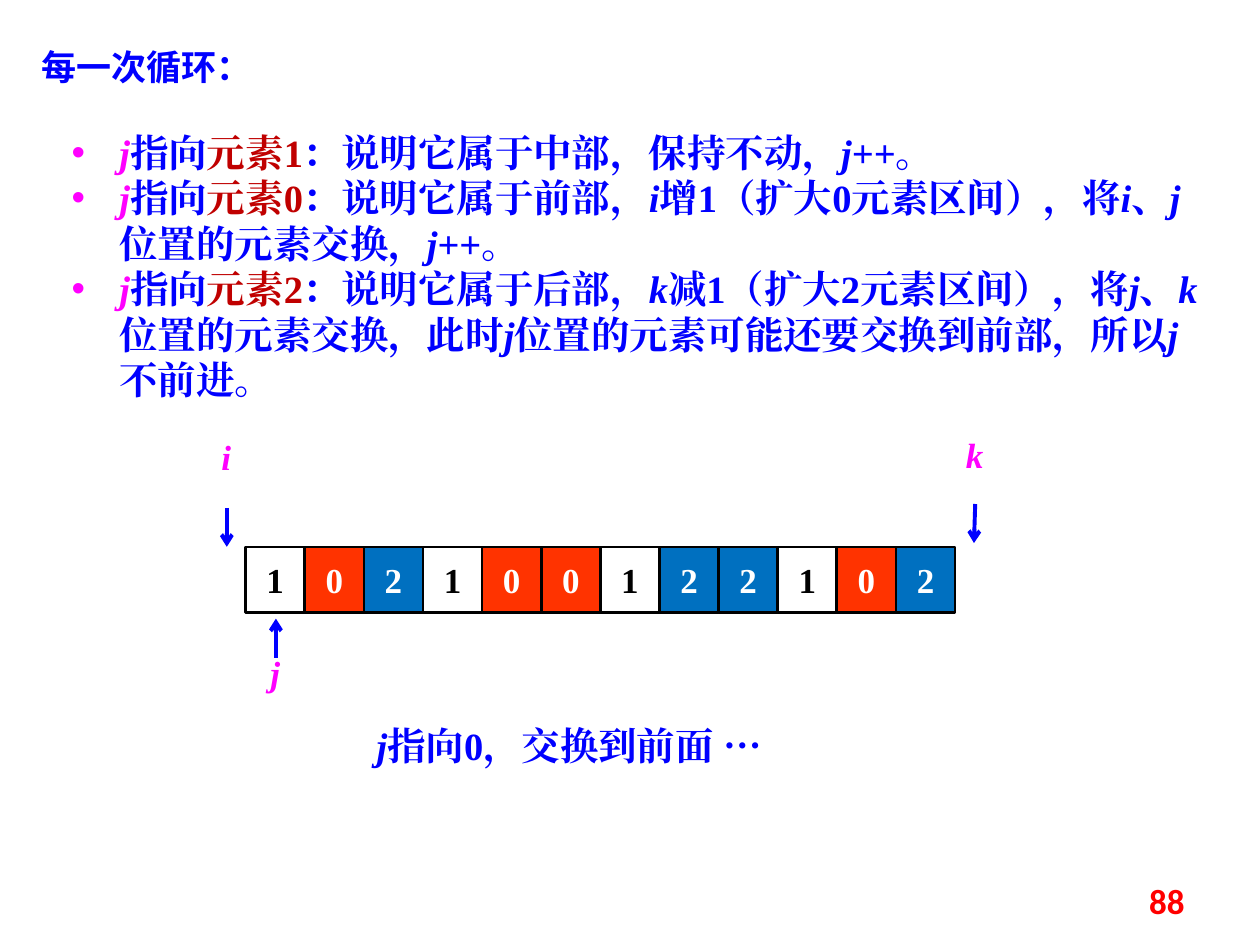
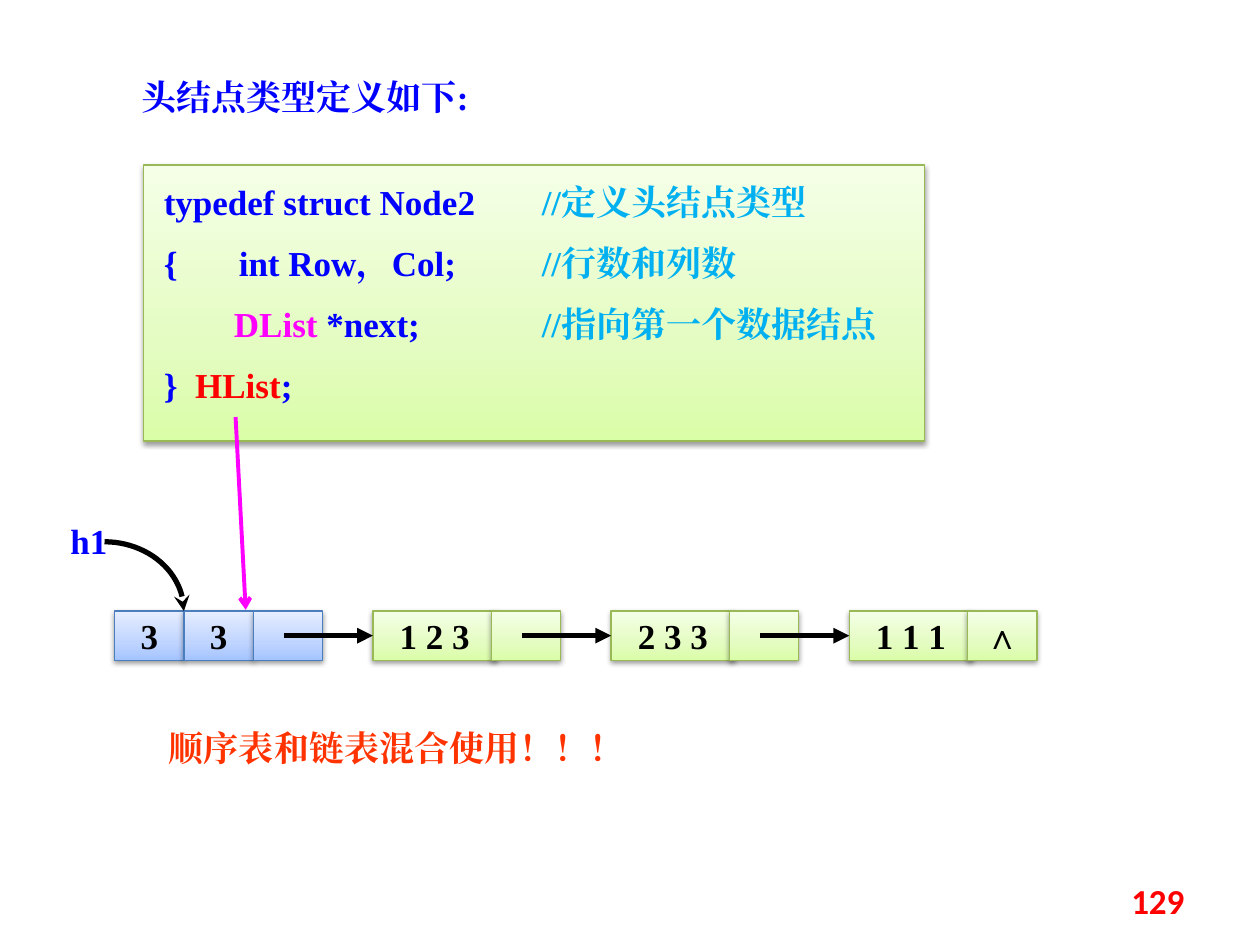
import math
from typing import NamedTuple, Optional

from lxml import etree
from pptx import Presentation
from pptx.dml.color import RGBColor
from pptx.enum import shapes, text
from pptx.oxml.ns import qn
from pptx.util import Inches, Pt

# Shared colours and fonts
BLACK = RGBColor(0x00, 0x00, 0x00)
WHITE = RGBColor(0xFF, 0xFF, 0xFF)
BLUE = RGBColor(0x00, 0x00, 0xFF)
MAGENTA = RGBColor(0xFF, 0x00, 0xFF)
RED = RGBColor(0xFF, 0x00, 0x00)
DARK_RED = RGBColor(0xC0, 0x00, 0x00)
ORANGE = RGBColor(0xFF, 0x33, 0x00)
CELL_BLUE = RGBColor(0x00, 0x70, 0xC0)
SKY = RGBColor(0x00, 0xB0, 0xF0)
SERIF = "Times New Roman"
SANS = "Noto Sans CJK SC"
NUMBER_FONT = "Calibri"

LEFT, CENTER, RIGHT = (text.PP_ALIGN.LEFT, text.PP_ALIGN.CENTER,
                       text.PP_ALIGN.RIGHT)
TOP, MIDDLE = text.MSO_ANCHOR.TOP, text.MSO_ANCHOR.MIDDLE


class Run(NamedTuple):
    text: str
    color: RGBColor = BLUE
    italic: bool = False
    font: str = SERIF


class Box(NamedTuple):
    left: float
    top: float
    width: float
    height: float

    def emu(self) -> list:
        return [Inches(v) for v in self]


class Gradient(NamedTuple):
    stops: tuple  # (position in percent, colour)
    edge: RGBColor


class Pointer(NamedTuple):
    name: str
    label: Box
    start: tuple
    end: tuple


GREEN_NODE = Gradient(((0, "DAFDA7"), (35, "E4FCC2"), (100, "F5FFE7")),
                      RGBColor(0x98, 0xB9, 0x55))
BLUE_NODE = Gradient(((0, "A4C4FF"), (35, "BFD4FF"), (100, "E6EEFF")),
                     RGBColor(0x4B, 0x7E, 0xBC))


def add_xml(parent, tag: str, **attrs: str):
    return etree.SubElement(parent, qn(tag), attrs)


# Text
def write(p, runs: list, size: int = 20, align=LEFT, bold: bool = True) -> None:
    p.alignment = align
    for item in runs:
        r = p.add_run()
        r.text = item.text
        r.font.size, r.font.bold, r.font.italic = Pt(size), bold, item.italic
        r.font.name = item.font
        r.font.color.rgb = item.color
        add_xml(r.font._element, "a:ea", typeface=item.font)


def with_variables(marked: str) -> list:
    """Blue runs; the parts between asterisks are italic."""
    return [Run(part, italic=n % 2 == 1)
            for n, part in enumerate(marked.split("*")) if part]


def add_text(slide, box: Box, runs: list, size: int = 20, align=LEFT,
             anchor=TOP, inset: Optional[float] = None, bold: bool = True):
    sp = slide.shapes.add_textbox(*box.emu())
    tf = sp.text_frame
    tf.word_wrap = True
    tf.vertical_anchor = anchor
    if inset is not None:
        set_insets(tf, inset, inset)
    if runs:
        write(tf.paragraphs[0], runs, size, align, bold)
    return sp


def set_insets(tf, side: float, end: float) -> None:
    tf.margin_left = tf.margin_right = Inches(side)
    tf.margin_top = tf.margin_bottom = Inches(end)


def add_slide(prs, title: Run, box: Box, number: int):
    slide = prs.slides.add_slide(prs.slide_layouts[5])
    sp = slide.shapes.title
    sp.left, sp.top, sp.width, sp.height = box.emu()
    tf = sp.text_frame
    tf.word_wrap, tf.auto_size = True, text.MSO_AUTO_SIZE.NONE
    tf.vertical_anchor = TOP
    write(tf.paragraphs[0], [title])
    add_text(slide, Box(7.17, 6.95, 2.33, 0.4),
             [Run(str(number), RED, font=NUMBER_FONT)], align=RIGHT, anchor=MIDDLE)
    return slide


# Shapes and lines
def add_rect(slide, box: Box, edge: RGBColor, width: float, label: str = "",
             color: RGBColor = BLACK):
    sp = slide.shapes.add_shape(shapes.MSO_SHAPE.RECTANGLE, *box.emu())
    sp.shadow.inherit = False
    sp.line.color.rgb, sp.line.width = edge, Pt(width)
    tf = sp.text_frame
    tf.word_wrap = False
    tf.vertical_anchor = MIDDLE
    if label:
        write(tf.paragraphs[0], [Run(label, color)], align=CENTER)
    return sp


def add_node(slide, box: Box, look: Gradient, label: str = ""):
    sp = add_rect(slide, box, look.edge, 0.75, label)
    sp.fill.gradient()
    sp.fill.gradient_angle = 90
    spPr = sp._element.spPr
    stops = spPr.find(qn("a:gradFill")).find(qn("a:gsLst"))
    for old in list(stops):
        stops.remove(old)
    for pos, color in look.stops:
        add_xml(add_xml(stops, "a:gs", pos=str(pos * 1000)), "a:srgbClr", val=color)
    shadow = add_xml(spPr.find(qn("a:effectLst")), "a:outerShdw",
                     blurRad=str(Pt(3.1)), dist=str(Pt(1.6)), dir="5400000",
                     rotWithShape="0")
    add_xml(add_xml(shadow, "a:srgbClr", val="000000"), "a:alpha", val="38000")
    return sp


def style_arrow(sp, color: RGBColor, width: float, tip: str) -> None:
    sp.line.color.rgb, sp.line.width = color, Pt(width)
    add_xml(sp._element.spPr.find(qn("a:ln")), "a:tailEnd", type=tip)


def add_arrow(slide, start: tuple, end: tuple, color: RGBColor,
              width: float = 2.25, tip: str = "arrow"):
    c = slide.shapes.add_connector(shapes.MSO_CONNECTOR.STRAIGHT,
                                   *[Inches(v) for v in (*start, *end)])
    style_arrow(c, color, width, tip)
    add_xml(c._element.spPr, "a:effectLst")
    return c


# Slide 1: three-way partition of an array
def add_rules(slide) -> None:
    rules = [
        ("1", "中", "保持不动，*j++*。"),
        ("0", "前", "*i*增1（扩大0元素区间），将*i*、*j*位置的元素交换，*j*++。"),
        ("2", "后", "*k*减1（扩大2元素区间），将*j*、*k*位置的元素交换，"
                   "此时*j*位置的元素可能还要交换到前部，所以*j*不前进。"),
    ]
    tf = add_text(slide, Box(0.47, 0.98, 9.14, 2.29), []).text_frame
    for n, (element, part, action) in enumerate(rules):
        p = tf.add_paragraph() if n else tf.paragraphs[0]
        pPr = p._p.get_or_add_pPr()
        pPr.set("marL", str(Inches(0.38)))
        pPr.set("indent", str(Inches(-0.38)))
        add_xml(pPr, "a:buFont", typeface="Arial")
        add_xml(pPr, "a:buChar", char="•")
        p.line_spacing = Pt(26)
        write(p, [Run("j", MAGENTA, True), Run("指向"),
                  Run("元素" + element, DARK_RED),
                  *with_variables(f"：说明它属于{part}部，{action}")], size=22)


def partition_slide(prs) -> None:
    slide = add_slide(prs, Run("每一次循环：", font=SANS),
                      Box(0.23, 0.31, 2.19, 0.49), 88)
    add_rules(slide)

    # Array cells
    looks = {"0": (ORANGE, WHITE), "1": (WHITE, BLACK), "2": (CELL_BLUE, WHITE)}
    pitch = 5.63 / 12
    for n, digit in enumerate("102100122102"):
        fill, color = looks[digit]
        sp = add_rect(slide, Box(1.95 + n * pitch, 4.34, pitch, 0.52),
                      BLACK, 1.5, digit, color)
        sp.fill.solid()
        sp.fill.fore_color.rgb = fill

    # Index pointers
    for ptr in (
        Pointer("i", Box(1.64, 3.46, 0.31, 0.37), (1.8, 4.03), (1.8, 4.34)),
        Pointer("k", Box(7.58, 3.44, 0.31, 0.37), (7.74, 4), (7.73, 4.31)),
        Pointer("j", Box(2.03, 5.17, 0.31, 0.37), (2.19, 5.22), (2.19, 4.91)),
    ):
        add_arrow(slide, ptr.start, ptr.end, BLUE)
        add_text(slide, ptr.label, [Run(ptr.name, MAGENTA, True)],
                 align=CENTER, inset=0)

    add_text(slide, Box(2.89, 5.68, 3.83, 0.51),
             [*with_variables("*j*指向0，交换到前面 "), Run("…", font=SANS)], size=22)


# Slide 2: list with a head node
def add_code(slide) -> None:
    lines = [
        [Run("typedef struct Node2\t"), Run("//定义头结点类型", SKY)],
        [Run("{       int Row，Col;\t"), Run("//行数和列数", SKY)],
        [Run("        "), Run("DList ", MAGENTA), Run("*next;\t"),
         Run("//指向第一个数据结点", SKY)],
        [Run("}  "), Run("HList", RED), Run(";")],
    ]
    tf = add_node(slide, Box(1.14, 1.31, 6.2, 2.19), GREEN_NODE).text_frame
    tf.word_wrap = True
    tf.vertical_anchor = TOP
    set_insets(tf, 0.16, 0.12)
    for n, runs in enumerate(lines):
        p = tf.add_paragraph() if n else tf.paragraphs[0]
        tabs = add_xml(p._p.get_or_add_pPr(), "a:tabLst")
        add_xml(tabs, "a:tab", pos=str(Inches(3)), algn="l")
        if n:
            p.space_before = Pt(11)
        write(p, runs)


def add_head_curve(slide) -> None:
    left, top, width, height = 0.83, 4.3, 0.63, 0.55
    steps = 24
    angles = [math.pi / 2 * n / steps for n in range(steps + 1)]
    points = [(Inches(left + width * math.sin(a)),
               Inches(top + height * (1 - math.cos(a)))) for a in angles]
    builder = slide.shapes.build_freeform(*points[0])
    builder.add_line_segments(points[1:], close=False)
    sp = builder.convert_to_shape()
    sp.shadow.inherit = False
    sp.fill.background()
    style_arrow(sp, BLACK, 3, "stealth")


def linked_list_slide(prs) -> None:
    slide = add_slide(prs, Run("头结点类型定义如下:"), Box(1.02, 0.55, 4.88, 0.5), 129)
    add_code(slide)

    # Head node: rows, columns, link
    top, height, link_width = 4.85, 0.39, 0.55
    for n, label in enumerate(("3", "3", "")):
        add_node(slide, Box(0.91 + n * link_width, top, link_width, height),
                 BLUE_NODE, label)
    add_head_curve(slide)
    add_text(slide, Box(0.35, 4.07, 0.71, 0.5), [Run("h1")], align=CENTER)

    # Data nodes, each reached by an arrow from the link before it
    for n, (data, link) in enumerate((("1 2 3", ""), ("2 3 3", ""), ("1 1 1", "∧"))):
        left = 2.96 + n * 1.89
        node = add_node(slide, Box(left, top, 0.98, height), GREEN_NODE, data)
        add_node(slide, Box(left + 0.94, top, link_width, height), GREEN_NODE, link)
        middle = top + height / 2
        arrow = add_arrow(slide, (left - 0.71, middle), (left, middle),
                          BLACK, 3, "triangle")
        arrow.end_connect(node, 1)

    add_arrow(slide, (1.87, 3.31), (1.95, 4.84), MAGENTA)
    add_text(slide, Box(0.75, 5.72, 4.8, 0.5),
             [Run("顺序表和链表混合使用！！！", ORANGE)], align=CENTER)


def main() -> None:
    prs = Presentation()
    prs.slide_width, prs.slide_height = Inches(10), Inches(7.5)
    partition_slide(prs)
    linked_list_slide(prs)
    prs.save("out.pptx")


if __name__ == "__main__":
    main()
